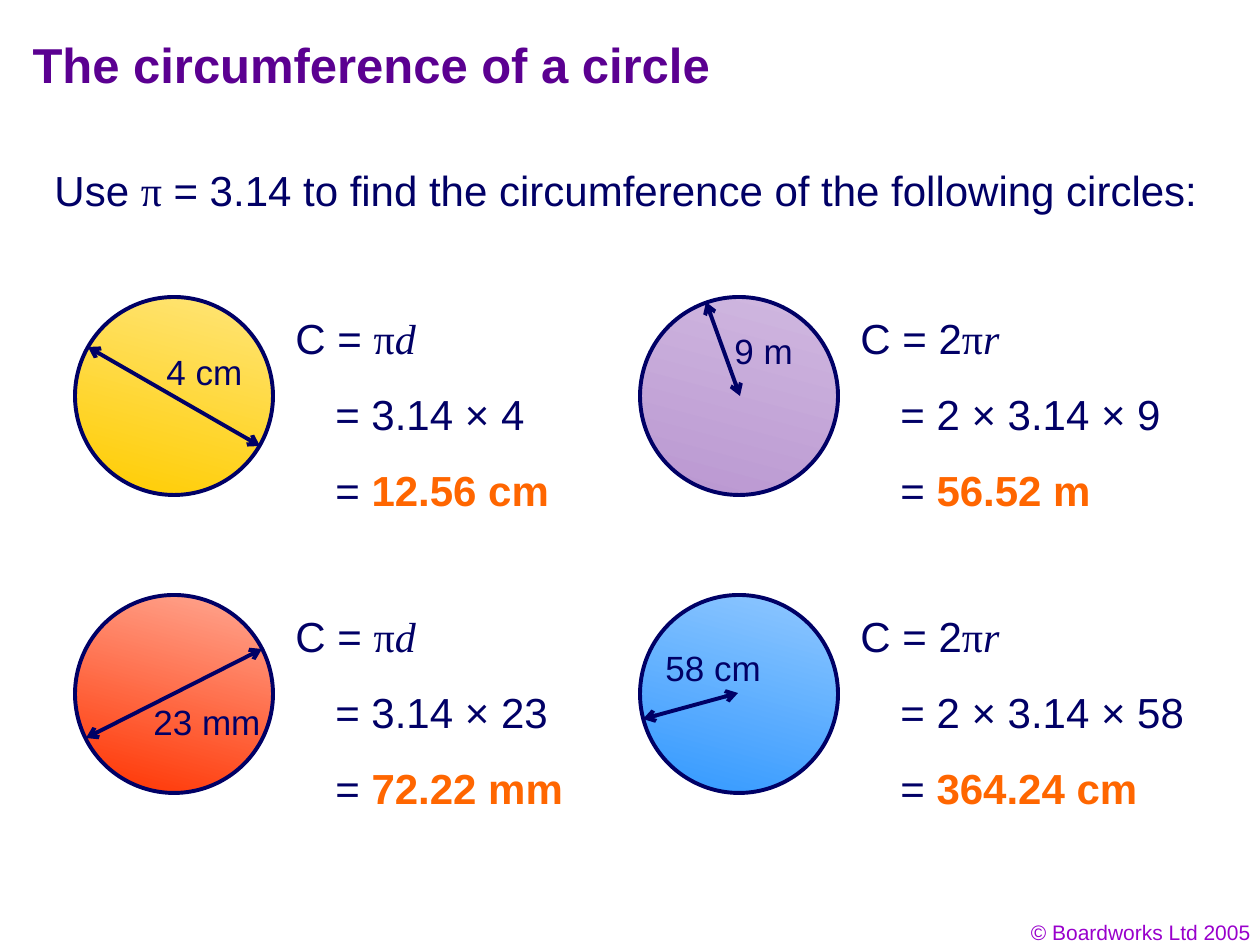
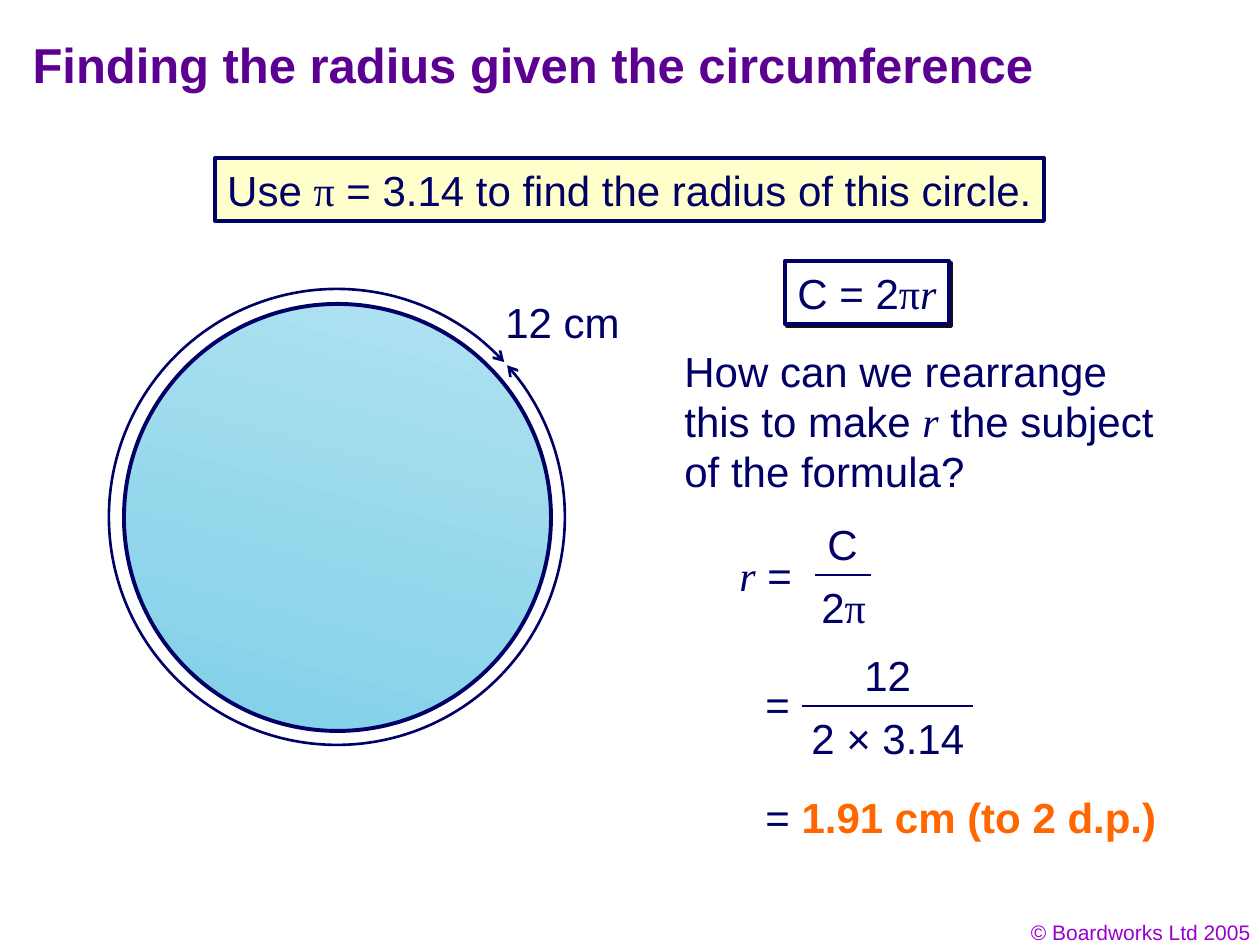
from lxml import etree
from pptx import Presentation
from pptx import util as u
from pptx.dml.color import RGBColor
from pptx.enum import shapes, text
from pptx.oxml import ns

PX = u.Inches(1) / 126
COLOURS = {
    "title": "5B0091", "footer": "9900CC", "ink": "010066", "line": "000066",
    "answer": "FF6600", "note": "FFFFCC", "white": "FFFFFF", "shadow": "111111",
    "yellow": ("FFE579", "FFCC00"), "purple": ("D0B8E0", "BA97D1"),
    "red": ("FFA893", "FF3300"), "blue": ("8FC7FF", "3399FF"),
    "aqua": ("B1E2F1", "80D0E8"),
}
STYLES = {
    "plain": ("Arial", False, False, "ink"),
    "symbol": ("Times New Roman", False, False, "ink"),
    "variable": ("Times New Roman", False, True, "ink"),
    "answer": ("Arial", True, False, "answer"),
    "title": ("Arial", True, False, "title"),
    "footer": ("Arial", False, False, "footer"),
}
PI = ("π", "symbol")
RADIUS = ("r", "variable")


def px(*lengths):
    return [u.Emu(round(length * PX)) for length in lengths]


def write(slide, place, runs, size=24, align=text.PP_ALIGN.LEFT, wrap=False, box=None):
    box = box or slide.shapes.add_textbox(0, 0, 0, 0)
    box.left, box.top, box.width, box.height = px(*place)
    frame = box.text_frame
    frame.auto_size = text.MSO_AUTO_SIZE.NONE
    frame.word_wrap = wrap
    paragraph = frame.paragraphs[0]
    paragraph.alignment = align
    for words, style in runs:
        run = paragraph.add_run()
        run.text = words
        font = run.font
        font.size = u.Pt(size)
        font.name, font.bold, font.italic, colour = STYLES[style]
        font.color.rgb = RGBColor.from_string(COLOURS[colour])
    return box


prs = Presentation()
prs.slide_width, prs.slide_height = px(1260, 945)
line_colour = RGBColor.from_string(COLOURS["line"])

slides = []
for heading in ("The circumference of a circle", "Finding the radius given the circumference"):
    slide = prs.slides.add_slide(prs.slide_layouts[5])
    write(slide, (20, 20, 1076, 87), [(heading, "title")], 28, wrap=True, box=slide.shapes.title)
    slide.shapes.title.text_frame.vertical_anchor = text.MSO_ANCHOR.MIDDLE
    write(slide, (969, 913, 294, 38), [("© Boardworks Ltd 2005", "footer")], 12,
          text.PP_ALIGN.RIGHT, wrap=True)
    slides.append(slide)
circumference, radius = slides

write(circumference, (42, 158, 1168, 63),
      [("Use ", "plain"), PI, (" = 3.14 to find the circumference of the following circles:", "plain")])

by_diameter = ([("C = ", "plain"), PI, ("d", "variable")], 145)
by_radius = ([("C = 2", "plain"), PI, RADIUS], 164)
exercises = [
    ("yellow", by_diameter, ("= 3.14 × 4", 214), ("12.56 cm", 238),
     ("4 cm", 154, 344, 101), (88, 347, 260, 446)),
    ("purple", by_radius, ("= 2 × 3.14 × 9", 285), ("56.52 m", 215),
     ("9 m", 722, 323, 83), (706, 302, 740, 396)),
    ("red", by_diameter, ("= 3.14 × 23", 237), ("72.22 mm", 252),
     ("23 mm", 141, 694, 132), (262, 649, 86, 738)),
    ("blue", by_radius, ("= 2 × 3.14 × 58", 309), ("364.24 cm", 262),
     ("58 cm", 653, 640, 121), (643, 719, 738, 693)),
]
circles = []
measures = []
for index, (tint, formula, working, answer, length, span) in enumerate(exercises):
    row, column = divmod(index, 2)
    left, top = 75 + 565 * column, 297 + 298 * row
    circle = circumference.shapes.add_shape(shapes.MSO_SHAPE.OVAL, *px(left, top, 198, 198))
    circles.append((circle, tint))
    measures.append(circumference.shapes.add_connector(shapes.MSO_CONNECTOR.STRAIGHT, *px(*span)))
    label, label_left, label_top, label_width = length
    write(circumference, (label_left, label_top, label_width, 55), [(label, "plain")], 20)
    steps = [
        (208, *formula),
        (248, [(working[0], "plain")], working[1]),
        (248, [("= ", "plain"), (answer[0], "answer")], answer[1]),
    ]
    for step, (indent, runs, width) in enumerate(steps):
        write(circumference, (left + indent, top + 9 + 76 * step, width, 63), runs)

task = write(radius, (215, 158, 829, 63),
             [("Use ", "plain"), PI, (" = 3.14 to find the radius of this circle.", "plain")],
             align=text.PP_ALIGN.CENTER)
rule = write(radius, (785, 261, 164, 63), by_radius[0])
for panel, tint in ((task, "note"), (rule, "white")):
    panel.fill.solid()
    panel.fill.fore_color.rgb = RGBColor.from_string(COLOURS[tint])
    panel.line.color.rgb = line_colour
    panel.line.width = u.Pt(2.25)
effects = etree.SubElement(rule._element.spPr, ns.qn("a:effectLst"))
cast = etree.SubElement(effects, ns.qn("a:outerShdw"), dist=str(u.Pt(1.4)), dir="2700000",
                        algn="ctr", rotWithShape="0")
etree.SubElement(cast, ns.qn("a:srgbClr"), val=COLOURS["shadow"])

disc = radius.shapes.add_shape(shapes.MSO_SHAPE.OVAL, *px(124, 304, 427, 427))
circles.append((disc, "aqua"))
for circle, tint in circles:
    circle.shadow.inherit = False
    circle.fill.gradient()
    circle.fill.gradient_angle = 255
    for stop, colour in zip(circle.fill.gradient_stops, COLOURS[tint]):
        stop.color.rgb = RGBColor.from_string(colour)
    circle.line.color.rgb = line_colour
    circle.line.width = u.Pt(2.25)

perimeter = radius.shapes.add_shape(shapes.MSO_SHAPE.ARC, *px(109, 289, 456, 456))
perimeter.shadow.inherit = False
perimeter.fill.background()
for end, degrees in enumerate((318.3, 317.2)):
    perimeter.adjustments[end] = degrees * 0.6
write(radius, (493, 290, 140, 63), [("12 cm", "plain")])

write(radius, (672, 339, 514, 164),
      [("How can we rearrange this to make ", "plain"), RADIUS,
       (" the subject of the formula?", "plain")], wrap=True)

solution = [
    (727, 543, 77, [RADIUS, (" =", "plain")]),
    (815, 512, 55, [("C", "plain")]),
    (809, 575, 69, [("2", "plain"), PI]),
    (753, 672, 49, [("=", "plain")]),
    (852, 643, 72, [("12", "plain")]),
    (799, 706, 178, [("2 × 3.14", "plain")]),
    (753, 785, 416, [("= ", "plain"), ("1.91 cm (to 2 d.p.)", "answer")]),
]
for left, top, width, runs in solution:
    write(radius, (left, top, width, 63), runs)

fraction_bars = [
    radius.shapes.add_connector(shapes.MSO_CONNECTOR.STRAIGHT, *px(start, level, end, level))
    for start, end, level in ((815, 871, 575), (802, 973, 706))
]
for stroke in measures + fraction_bars + [perimeter]:
    stroke.line.color.rgb = line_colour
    stroke.line.width = u.Pt(2.25 if stroke in measures else 1.5)
    if stroke not in fraction_bars:
        for tip in ("a:headEnd", "a:tailEnd"):
            etree.SubElement(stroke.line._get_or_add_ln(), ns.qn(tip), type="arrow")
    if stroke is not perimeter:
        etree.SubElement(stroke._element.spPr, ns.qn("a:effectLst"))

prs.save("out.pptx")
